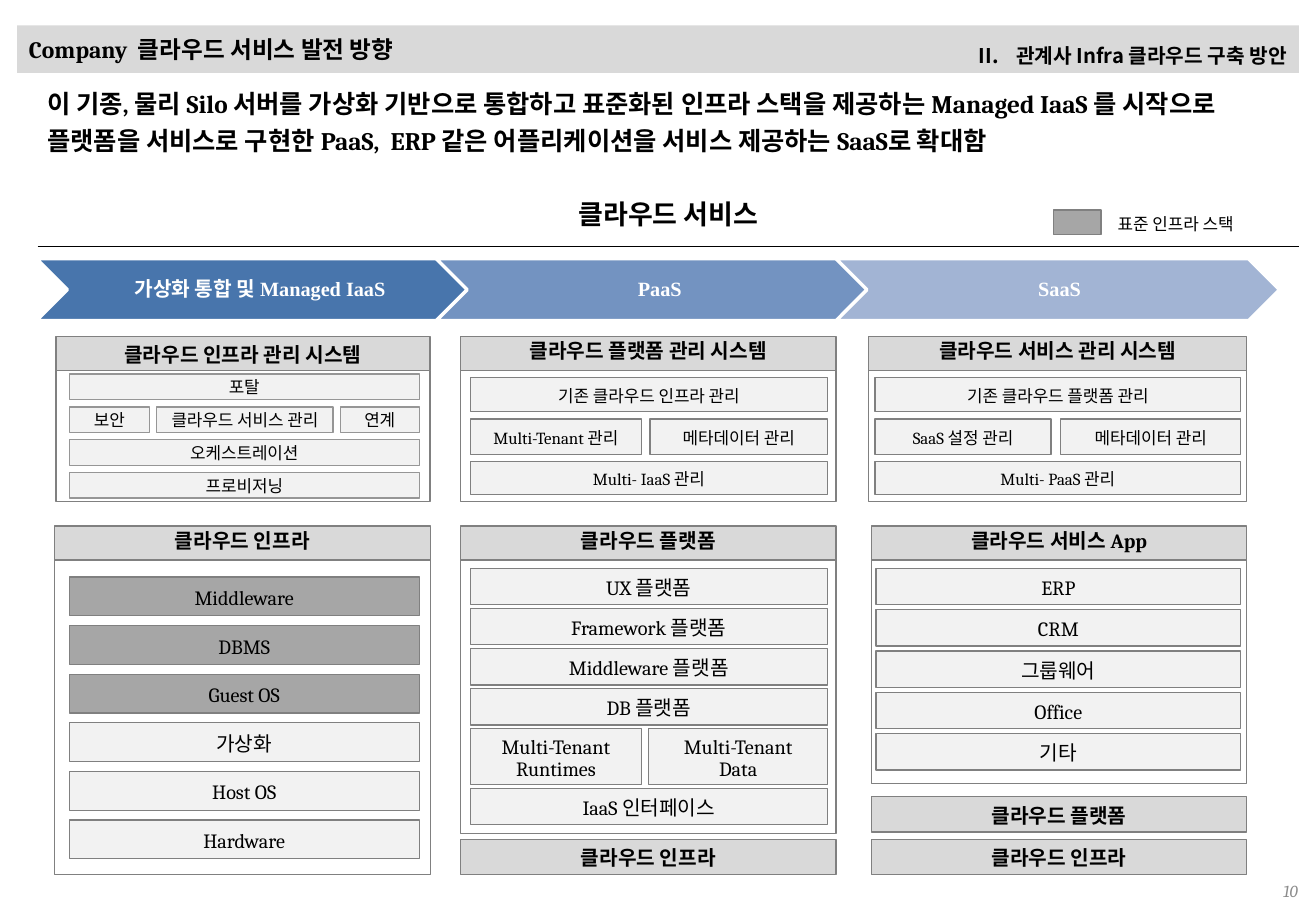
from dataclasses import dataclass

from lxml.etree import SubElement
from pptx import Presentation
from pptx.dml.color import RGBColor
from pptx.enum.shapes import MSO_CONNECTOR, MSO_SHAPE
from pptx.enum.text import MSO_ANCHOR, PP_ALIGN
from pptx.oxml.ns import qn
from pptx.util import Inches, Pt

COLORS = {
    "black": "000000", "white": "FFFFFF", "number": "8C8C8C",
    "header": "D9D9D9", "cell": "F2F2F2", "standard": "A6A6A6",
    "border": "808080", "light_border": "969696",
    "iaas": "4875AC", "paas": "7393C1", "saas": "A2B4D4",
}
KOREAN_FONT = "Noto Sans CJK KR"


@dataclass(frozen=True)
class TextStyle:
    size: float
    bold: bool = False
    italic: bool = False
    font: str = "Cambria"
    color: str = "black"
    align: PP_ALIGN = PP_ALIGN.CENTER
    anchor: MSO_ANCHOR = MSO_ANCHOR.MIDDLE
    spacing: float = 0.9
    insets: tuple[float, float, float, float] = (0, 0.04, 0, 0)
    wrap: bool = True


@dataclass(frozen=True)
class Panel:
    title: str
    left: float
    top: float
    width: float
    bottom: float
    style: TextStyle


@dataclass(frozen=True)
class Row:
    labels: tuple[str, ...]
    height: float
    widths: tuple[float, ...] = ()  # the last cell takes what remains
    fill: str = "cell"


@dataclass(frozen=True)
class Stack:
    left: float
    top: float
    width: float
    gap: float
    column_gap: float
    style: TextStyle
    rows: list[Row]
    border: str = "border"


@dataclass(frozen=True)
class Stage:
    label: str
    color: str


PADDING = (0.1, 0.05, 0.1, 0.05)
LEAD_PADDING = (0.08,) * 4
HEADER_MIDDLE = TextStyle(12, bold=True)
HEADER = TextStyle(12, bold=True, anchor=MSO_ANCHOR.TOP)
LAYER = TextStyle(12)
FUNCTION = TextStyle(10)
PORTAL = TextStyle(10, spacing=1, insets=(0.09, 0.05, 0.09, 0.05), wrap=False)
STAGE = TextStyle(12, bold=True, font="Times New Roman", color="white",
                  insets=(0.05, 0.02, 0.02, 0.02))

prs = Presentation()
prs.slide_width, prs.slide_height = Inches(10.83), Inches(7.5)
slide = prs.slides.add_slide(prs.slide_layouts[6])


def rgb(name: str) -> RGBColor:
    return RGBColor.from_string(COLORS[name])


def apply(target, formats: dict) -> None:
    for attribute, value in formats.items():
        setattr(target, attribute, value)


def write(shape, text: str, style: TextStyle):
    """Fill a shape with one formatted paragraph and return it."""
    frame = shape.text_frame
    sides = ("margin_left", "margin_top", "margin_right", "margin_bottom")
    apply(frame, {"word_wrap": style.wrap, "vertical_anchor": style.anchor,
                  **{side: Inches(inset) for side, inset in zip(sides, style.insets)}})
    paragraph = frame.paragraphs[0]
    paragraph.text = text
    apply(paragraph, {"alignment": style.align, "line_spacing": style.spacing})
    for run in paragraph.runs:
        apply(run.font, {"size": Pt(style.size), "bold": style.bold,
                         "italic": style.italic, "name": style.font})
        run.font.color.rgb = rgb(style.color)
        SubElement(run.font._element, qn("a:ea"), typeface=KOREAN_FONT)
    return paragraph


def add_text(text: str, left: float, top: float, width: float, height: float,
             style: TextStyle):
    box = slide.shapes.add_textbox(*map(Inches, (left, top, width, height)))
    return write(box, text, style)


def add_block(left: float, top: float, width: float, height: float, fill: str,
              border: str | None = "border", weight: float = 0.75,
              kind: MSO_SHAPE = MSO_SHAPE.RECTANGLE):
    block = slide.shapes.add_shape(kind, *map(Inches, (left, top, width, height)))
    block.shadow.inherit = False
    block.fill.solid()
    block.fill.fore_color.rgb = rgb(fill)
    if border:
        block.line.color.rgb = rgb(border)
        block.line.width = Pt(weight)
    else:
        block.line.fill.background()
    return block


def draw_panel(panel: Panel) -> None:
    header_height = 0.28
    body_top = panel.top + header_height
    add_block(panel.left, body_top, panel.width, panel.bottom - body_top, "white")
    header = add_block(panel.left, panel.top, panel.width, header_height, "header")
    write(header, panel.title, panel.style)


def draw_stack(stack: Stack) -> None:
    top = stack.top
    for row in stack.rows:
        left = stack.left
        gaps = stack.column_gap * len(row.widths)
        widths = (*row.widths, stack.width - sum(row.widths) - gaps)
        for label, width in zip(row.labels, widths):
            cell = add_block(left, top, width, row.height, row.fill, stack.border)
            write(cell, label, stack.style)
            left += width + stack.column_gap
        top += row.height + stack.gap


def layers(labels: list[str], height: float, fill: str = "cell") -> list[Row]:
    return [Row((label,), height, fill=fill) for label in labels]


# Title bar with chapter name
title_bar = add_block(0.14, 0.21, 10.55, 0.39, "header", border=None)
write(title_bar, "Company  클라우드 서비스 발전 방향",
      TextStyle(14, bold=True, align=PP_ALIGN.LEFT, spacing=1, insets=PADDING))
chapter = add_text("관계사 Infra 클라우드 구축 방안", 7.71, 0.21, 2.98, 0.36,
                   TextStyle(12, bold=True, font=KOREAN_FONT, align=PP_ALIGN.RIGHT,
                             anchor=MSO_ANCHOR.TOP, spacing=1.5, insets=PADDING, wrap=False))
numbering = chapter._p.get_or_add_pPr()
numbering.set("marL", str(Inches(0.31)))
numbering.set("indent", str(Inches(-0.31)))
SubElement(numbering, qn("a:buFont"), typeface=KOREAN_FONT)
SubElement(numbering, qn("a:buAutoNum"), type="romanUcPeriod", startAt="2")

# Lead message
add_text("이 기종, 물리 Silo 서버를 가상화 기반으로 통합하고 표준화된 인프라 스택을 제공하는 "
         "Managed IaaS 를 시작으로 플랫폼을 서비스로 구현한 PaaS,  ERP 같은 어플리케이션을 "
         "서비스 제공하는 SaaS로 확대함", 0.31, 0.6, 10.23, 0.81,
         TextStyle(15, bold=True, align=PP_ALIGN.LEFT, anchor=MSO_ANCHOR.TOP,
                   spacing=1.2, insets=LEAD_PADDING))

# Section heading, rule and legend
add_text("클라우드 서비스", 0.31, 1.58, 10.38, 0.39,
         TextStyle(16, bold=True, font="Times New Roman", insets=LEAD_PADDING))
rule = slide.shapes.add_connector(MSO_CONNECTOR.STRAIGHT, *map(Inches, (0.31, 2.03, 10.69, 2.03)))
rule.line.color.rgb = rgb("black")
rule.line.width = Pt(0.75)
SubElement(rule._element.spPr, qn("a:effectLst"))
add_block(8.67, 1.73, 0.39, 0.2, "standard")
add_text("표준 인프라 스택", 9.1, 1.71, 1.25, 0.27,
         TextStyle(10, font="Times New Roman", align=PP_ALIGN.LEFT,
                   anchor=MSO_ANCHOR.TOP, spacing=1, insets=PADDING, wrap=False))

# Stages
stages = [Stage("가상화 통합 및 Managed IaaS", "iaas"), Stage("PaaS", "paas"), Stage("SaaS", "saas")]
for index, stage in enumerate(stages):
    stage_left = 0.3 + 3.29 * index
    arrow = add_block(stage_left, 2.13, 3.65, 0.51, stage.color, "white", 2, MSO_SHAPE.CHEVRON)
    arrow.adjustments[0] = 0.5
    add_text(stage.label, stage_left + 0.25, 2.13, 3.15, 0.51, STAGE)

# Panels: management systems above, service layers below
for panel in [
    Panel("클라우드 인프라 관리 시스템", 0.46, 2.77, 3.08, 4.13, HEADER_MIDDLE),
    Panel("클라우드 플랫폼 관리 시스템", 3.79, 2.77, 3.09, 4.13, HEADER),
    Panel("클라우드 서비스 관리 시스템", 7.15, 2.77, 3.11, 4.13, HEADER),
    Panel("클라우드 인프라", 0.45, 4.33, 3.09, 7.2, HEADER),
    Panel("클라우드 플랫폼", 3.79, 4.33, 3.09, 6.86, HEADER),
    Panel("클라우드 서비스 App", 7.17, 4.33, 3.09, 6.45, HEADER),
]:
    draw_panel(panel)

# Panel contents and the base layers under PaaS and SaaS
for stack in [
    Stack(0.57, 3.08, 2.88, 0.06, 0.06, PORTAL, [
        Row(("포탈",), 0.21),
        Row(("보안", "클라우드 서비스 관리", "연계"), 0.21, (0.66, 1.45)),
        *layers(["오케스트레이션", "프로비저닝"], 0.21)], "light_border"),
    Stack(3.87, 3.11, 2.94, 0.06, 0.07, FUNCTION, [
        Row(("기존 클라우드 인프라 관리",), 0.28),
        Row(("Multi-Tenant 관리", "메타데이터 관리"), 0.29, (1.41,)),
        Row(("Multi- IaaS 관리",), 0.27)]),
    Stack(7.2, 3.11, 3.01, 0.06, 0.08, FUNCTION, [
        Row(("기존 클라우드 플랫폼 관리",), 0.28),
        Row(("SaaS 설정 관리", "메타데이터 관리"), 0.29, (1.45,)),
        Row(("Multi- PaaS 관리",), 0.27)]),
    Stack(0.57, 4.75, 2.88, 0.08, 0, LAYER, [
        *layers(["Middleware", "DBMS", "Guest OS"], 0.32, "standard"),
        *layers(["가상화", "Host OS", "Hardware"], 0.32)]),
    Stack(3.87, 4.68, 2.94, 0.03, 0.06, LAYER, [
        *layers(["UX 플랫폼", "Framework 플랫폼", "Middleware 플랫폼", "DB 플랫폼"], 0.3),
        Row(("Multi-Tenant Runtimes", "Multi-Tenant\vData"), 0.46, (1.41,)),
        Row(("IaaS 인터페이스",), 0.3)]),
    Stack(7.21, 4.68, 3, 0.04, 0, LAYER,
          layers(["ERP", "CRM", "그룹웨어", "Office", "기타"], 0.3)),
    Stack(3.79, 6.91, 3.09, 0, 0, HEADER_MIDDLE, layers(["클라우드 인프라"], 0.29, "header")),
    Stack(7.17, 6.56, 3.09, 0.06, 0, HEADER_MIDDLE,
          layers(["클라우드 플랫폼", "클라우드 인프라"], 0.29, "header")),
]:
    draw_stack(stack)

# Page number
add_text("10", 8.25, 7.21, 2.53, 0.24,
         TextStyle(10, italic=True, color="number", align=PP_ALIGN.RIGHT, spacing=1, insets=PADDING))

prs.save("out.pptx")
